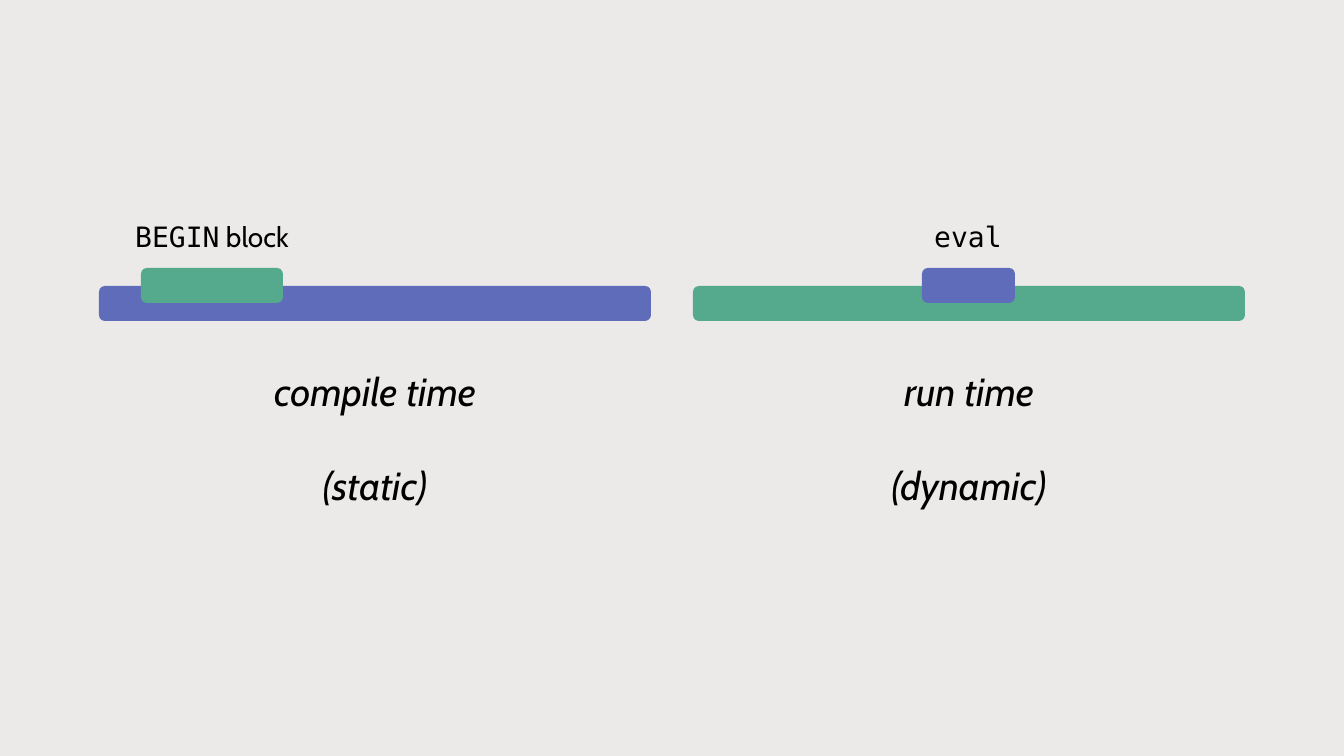
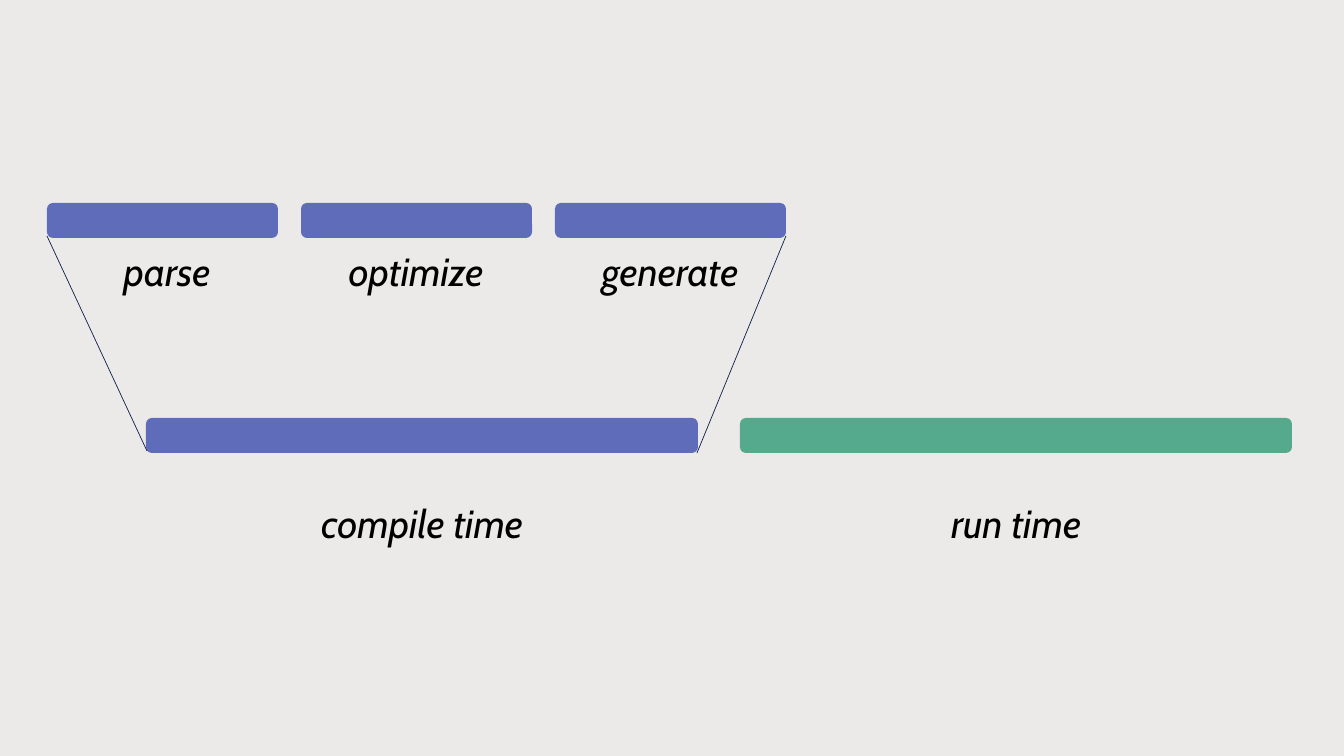
from pptx import Presentation
from pptx.dml.color import RGBColor
from pptx.enum.shapes import MSO_CONNECTOR as Connector, MSO_SHAPE as Shape
from pptx.enum.text import MSO_AUTO_SIZE as AutoSize, PP_ALIGN as Align
from pptx.oxml.ns import qn
from pptx.util import Emu, Pt
from lxml.etree import SubElement

SLIDE_WIDTH, SLIDE_HEIGHT = 1344, 756
EMU_PER_PX = 12192000 / SLIDE_WIDTH
BACKGROUND, STATIC, DYNAMIC, LINE, INK = "EBEAE8", "5F6CBA", "55AA8D", "101F48", "000000"
SANS, MONO = "Cabin", "DejaVu Sans Mono"
BAR_HEIGHT, PHASE_WIDTH, PHASE_GAP = 35, 552, 42


def px(length):
    return Emu(round(length * EMU_PER_PX))


def color(hex_string):
    return RGBColor.from_string(hex_string)


def add_run(paragraph, text, font=SANS, size=28, italic=False, ink=INK):
    run = paragraph.add_run()
    run.text = text
    run.font.name = font
    run.font.size = Pt(size)
    run.font.italic = italic
    run.font.color.rgb = color(ink)


class Deck:
    """Holds the shared style and the slide being drawn."""

    def __init__(self):
        self.presentation = Presentation()
        self.presentation.slide_width = px(SLIDE_WIDTH)
        self.presentation.slide_height = px(SLIDE_HEIGHT)
        fill = self.presentation.slide_master.background.fill
        fill.solid()
        fill.fore_color.rgb = color(BACKGROUND)
        self.slide = None

    def new_slide(self):
        blank = self.presentation.slide_layouts[6]
        self.slide = self.presentation.slides.add_slide(blank)

    def bar(self, left, top, width, fill):
        """Draw a rounded bar and return its horizontal centre."""
        shape = self.slide.shapes.add_shape(
            Shape.ROUNDED_RECTANGLE, px(left), px(top), px(width), px(BAR_HEIGHT))
        shape.shadow.inherit = False
        shape.fill.solid()
        shape.fill.fore_color.rgb = color(fill)
        shape.line.fill.background()
        return left + width // 2

    def text(self, center, top, lines, width=252, height=57, gap=0):
        """Centre lines on a point; each line is a list of (text, format) runs."""
        box = self.slide.shapes.add_textbox(
            px(center - width // 2), px(top), px(width), px(height))
        frame = box.text_frame
        frame.word_wrap = True
        frame.auto_size = AutoSize.SHAPE_TO_FIT_TEXT
        for index, runs in enumerate(lines):
            paragraph = frame.add_paragraph() if index else frame.paragraphs[0]
            paragraph.alignment = Align.CENTER
            if index:
                paragraph.space_before = Pt(gap)
            for text, text_format in runs:
                add_run(paragraph, text, **text_format)

    def caption(self, center, top, *lines, **layout):
        self.text(center, top, [[(line, {"italic": True})] for line in lines], **layout)

    def line(self, start, end):
        connector = self.slide.shapes.add_connector(
            Connector.STRAIGHT, *(px(value) for value in start + end))
        connector.line.color.rgb = color(LINE)
        connector.line.width = Pt(0.5)
        SubElement(connector.element.spPr, qn("a:effectLst"))

    def phases(self, left, top):
        """Draw the compile and run bars and return their centres."""
        return [self.bar(left + index * (PHASE_WIDTH + PHASE_GAP), top, PHASE_WIDTH, fill)
                for index, fill in enumerate((STATIC, DYNAMIC))]


def build_crossover_slide(deck):
    deck.new_slide()
    compile_center, run_center = deck.phases(99, 286)
    deck.caption(compile_center, 362, "compile time", "(static)", height=152, gap=33.6)
    deck.caption(run_center, 362, "run time", "(dynamic)", height=152, gap=33.6)

    code, plain = {"font": MONO, "size": 20}, {"size": 20}
    markers = (
        (141, 142, DYNAMIC, [("BEGIN", code), (" block", plain)]),
        (922, 93, STATIC, [("eval", code)]),
    )
    for left, width, fill, runs in markers:
        center = deck.bar(left, 268, width, fill)
        deck.text(center, 215, [runs], height=44)


def build_steps_slide(deck):
    deck.new_slide()
    left, top, width, pitch = 47, 203, 231, 254
    phase_left, phase_top = 146, 418

    centers = deck.phases(phase_left, phase_top)
    for center, name in zip(centers, ("compile time", "run time")):
        deck.caption(center, 494, name)

    steps = (("parse", 5), ("optimize", 0), ("generate", 0))
    for index, (name, shift) in enumerate(steps):
        center = deck.bar(left + index * pitch, top, width, STATIC)
        deck.caption(center + shift, 242, name, width=198)

    right = left + 2 * pitch + width
    line_top, line_bottom = top + 33, phase_top + BAR_HEIGHT
    deck.line((left, line_top), (phase_left + 1, line_bottom - 2))
    deck.line((right, line_top), (phase_left + PHASE_WIDTH - 1, line_bottom))


def main():
    deck = Deck()
    build_crossover_slide(deck)
    build_steps_slide(deck)
    deck.presentation.save("out.pptx")


if __name__ == "__main__":
    main()
